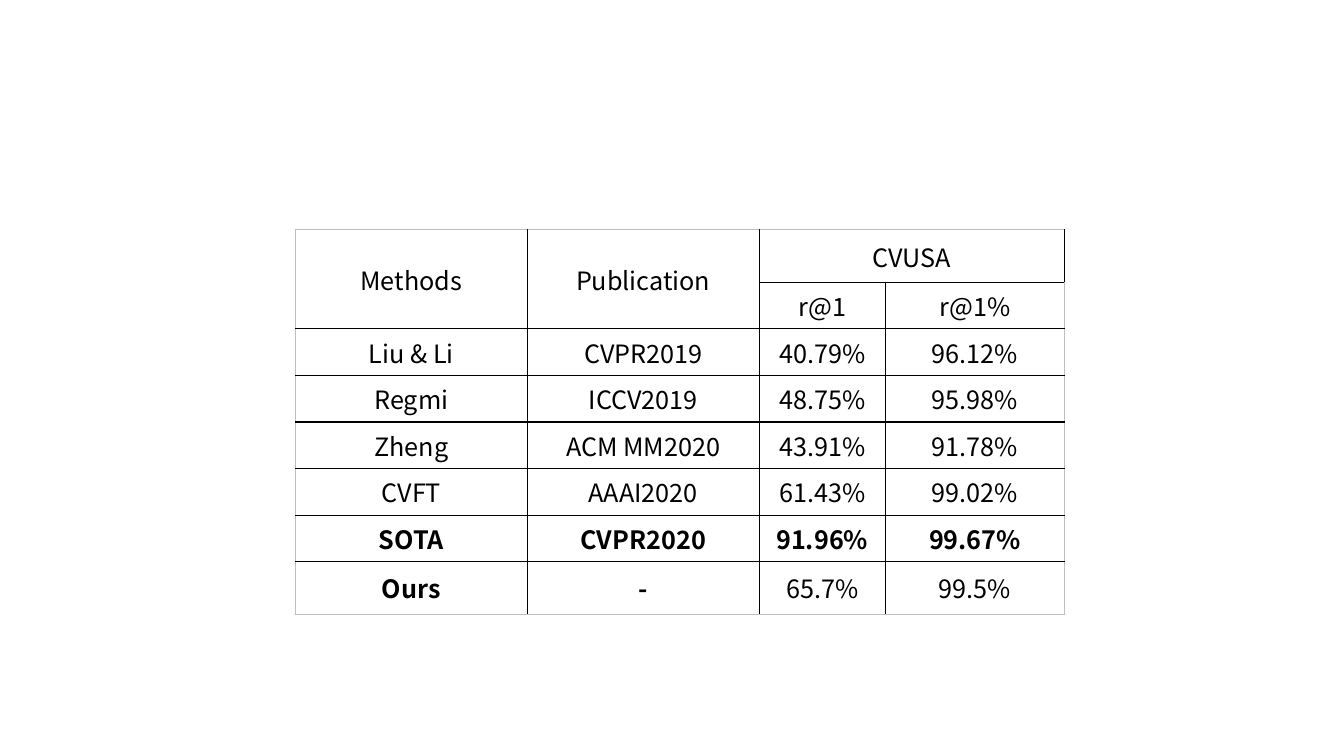
from lxml.etree import SubElement
from pptx import Presentation
from pptx.dml.color import RGBColor
from pptx.enum.text import MSO_ANCHOR as Anchor, PP_ALIGN as Align
from pptx.oxml.ns import qn
from pptx.util import Inches, Pt

FONT = "Noto Sans CJK SC"
BLACK, EDGE_GREY = "000000", "BFBFBF"
LEFT, TOP = 2.93, 2.28
COLUMN_WIDTHS = [2.3, 2.3, 1.25, 1.78]
ROW_HEIGHTS = [0.52] + [0.39] * 6 + [0.52]
RESULTS = [
    ["Methods", "Publication", "CVUSA", ""],
    ["", "", "r@1", "r@1%"],
    ["Liu & Li", "CVPR2019", "40.79%", "96.12%"],
    ["Regmi", "ICCV2019", "48.75%", "95.98%"],
    ["Zheng", "ACM MM2020", "43.91%", "91.78%"],
    ["CVFT", "AAAI2020", "61.43%", "99.02%"],
    ["SOTA", "CVPR2020", "91.96%", "99.67%"],
    ["Ours", "-", "65.7%", "99.5%"],
]
MERGES = [((0, 0), (1, 0)), ((0, 1), (1, 1)), ((0, 2), (0, 3))]
BOLD_CELLS = {(6, column) for column in range(4)} | {(7, 0), (7, 1)}


def color(hex_string):
    return RGBColor.from_string(hex_string)


def write_text(cell, text, size=18, bold=False, fill=BLACK, align=Align.CENTER):
    cell.vertical_anchor = Anchor.MIDDLE
    paragraph = cell.text_frame.paragraphs[0]
    paragraph.alignment = align
    run = paragraph.add_run()
    run.text = text
    run.font.name = FONT
    run.font.size = Pt(size)
    run.font.bold = bold
    run.font.color.rgb = color(fill)


def draw_borders(cell, outer_sides):
    properties = cell._tc.get_or_add_tcPr()
    for side in "LRTB":
        is_outer = side in outer_sides
        line = SubElement(properties, qn(f"a:ln{side}"), w=str(Pt(0.75 if is_outer else 1)))
        fill = SubElement(line, qn("a:solidFill"))
        SubElement(fill, qn("a:srgbClr"), val=EDGE_GREY if is_outer else BLACK)


def outer_sides_of(row, column):
    edges = {
        "L": column == 0,
        "R": column == len(COLUMN_WIDTHS) - 1,
        "T": row == 0,
        "B": row == len(ROW_HEIGHTS) - 1,
    }
    return [side for side, is_edge in edges.items() if is_edge]


def add_results_table(slide):
    table = slide.shapes.add_table(
        len(ROW_HEIGHTS), len(COLUMN_WIDTHS), Inches(LEFT), Inches(TOP),
        Inches(sum(COLUMN_WIDTHS)), Inches(sum(ROW_HEIGHTS)),
    ).table
    table.first_row = False
    table.horz_banding = False
    for column, width in zip(table.columns, COLUMN_WIDTHS):
        column.width = Inches(width)
    for row, height in zip(table.rows, ROW_HEIGHTS):
        row.height = Inches(height)
    for start, end in MERGES:
        table.cell(*start).merge(table.cell(*end))
    for row, texts in enumerate(RESULTS):
        for column, text in enumerate(texts):
            cell = table.cell(row, column)
            draw_borders(cell, outer_sides_of(row, column))
            cell.fill.background()
            if text:
                write_text(cell, text, bold=(row, column) in BOLD_CELLS)


def main():
    presentation = Presentation()
    presentation.slide_width = Inches(13.33)
    presentation.slide_height = Inches(7.5)
    slide = presentation.slides.add_slide(presentation.slide_layouts[6])
    add_results_table(slide)
    presentation.save("out.pptx")


if __name__ == "__main__":
    main()
